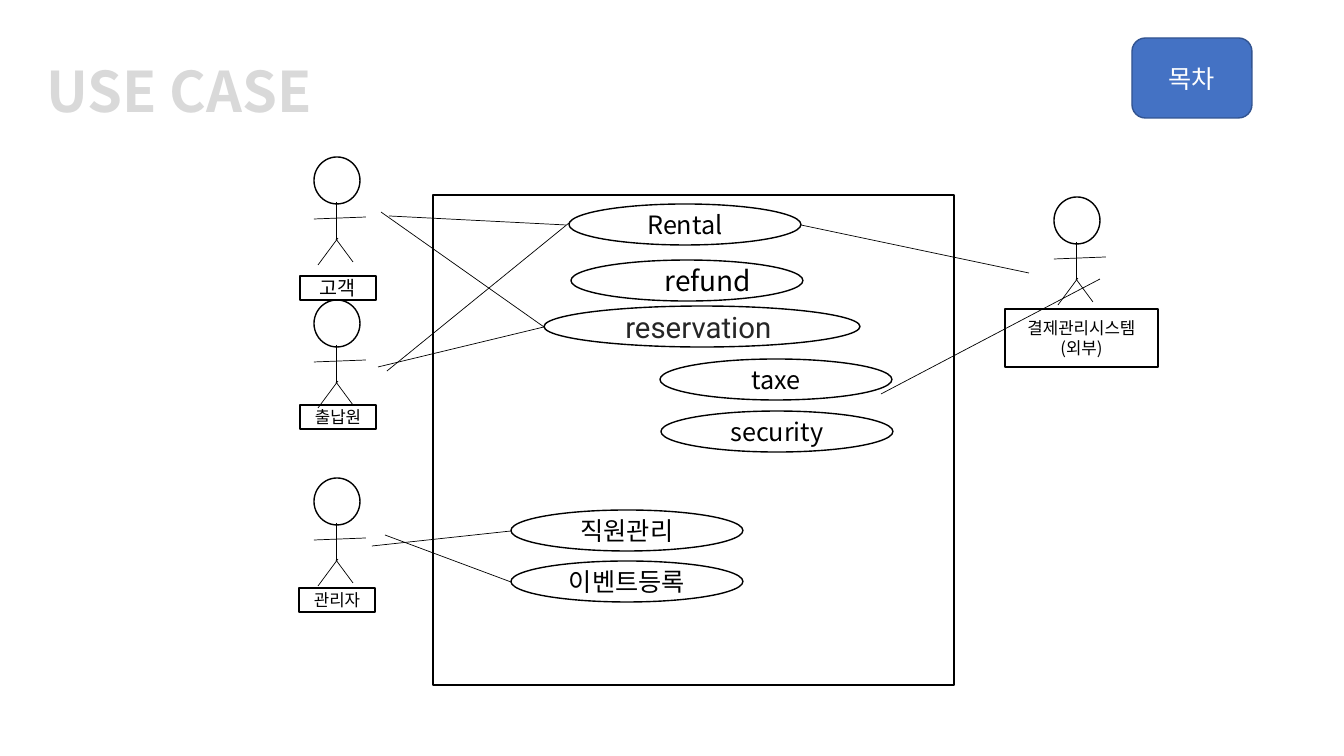
import pptx
import pptx.dml.color
import pptx.enum.shapes
import pptx.enum.text
import pptx.oxml.ns
import pptx.util
from lxml import etree

EMU_PER_PX = 914400 / 100.8
SLIDE_SIZE = (1344, 756)
FONT = "Noto Sans CJK KR"
BLACK = "000000"

TITLE = ("USE CASE", (-42, 18, 442, 111))
BUTTON = ("목차", (1132, 38, 120, 80))
SYSTEM_BOX = (433, 195, 521, 490)

ACTOR_HEADS = [(314, 157), (314, 300), (314, 478), (1054, 197)]
HEAD_SIZE = (46, 47)
# Lines of a stick figure, measured from the corner of its head
LIMBS = [
    (22, 45, 22, 82),
    (24, 81, 4, 108),
    (22, 82, 39, 105),
    (0, 62, 52, 60),
]
# text, box, size
ACTOR_LABELS = [
    ("고객", (300, 276, 76, 24), 14),
    ("출납원", (300, 405, 76, 24), 12),
    ("관리자", (299, 588, 76, 24), 12),
    ("결제관리시스템\n(외부)", (1005, 309, 153, 58), 12),
]
# text, left, top, width, size, font, colour, indent
USE_CASES = [
    ("Rental", 569, 204, 232, 18, FONT, BLACK, 0),
    ("refund", 571, 260, 232, 20, FONT, BLACK, 42),
    ("reservation ", 544, 306, 316, 21, "Roboto", "262626", 0),
    ("taxe", 660, 359, 232, 18, FONT, BLACK, 0),
    ("security", 661, 411, 232, 18, FONT, BLACK, 0),
    ("직원관리", 511, 510, 232, 18, FONT, BLACK, 0),
    ("이벤트등록", 511, 561, 232, 18, FONT, BLACK, 0),
]
USE_CASE_HEIGHT = 41
ASSOCIATIONS = [
    (381, 212, 544, 327),
    (378, 367, 544, 327),
    (387, 371, 569, 223),
    (389, 216, 566, 225),
    (372, 546, 511, 531),
    (385, 535, 511, 582),
    (801, 225, 1029, 273),
    (881, 394, 1100, 279),
]

SHAPE = pptx.enum.shapes.MSO_SHAPE
ANCHOR = pptx.enum.text.MSO_ANCHOR


def px(*lengths):
    return [pptx.util.Emu(round(n * EMU_PER_PX)) for n in lengths]


def rgb(color):
    return pptx.dml.color.RGBColor.from_string(color)


def write(sp, text, size, color=BLACK, font=FONT, bold=False, indent=0, anchor=ANCHOR.MIDDLE):
    tf = sp.text_frame
    tf.word_wrap = True
    tf.vertical_anchor = anchor
    tf.text = text
    for p in tf.paragraphs:
        p.alignment = pptx.enum.text.PP_ALIGN.CENTER
        if indent:
            pPr = p._p.get_or_add_pPr()
            pPr.set("marL", str(px(indent)[0]))
            pPr.set("indent", "0")
        p.font.size = pptx.util.Pt(size)
        p.font.bold = bold
        p.font.color.rgb = rgb(color)
        p.font.name = font
        latin = p._p.pPr.find(".//" + pptx.oxml.ns.qn("a:latin"))
        ea = etree.Element(pptx.oxml.ns.qn("a:ea"), typeface=font)
        latin.addnext(ea)


def add_box(shapes, kind, box, fill=None, line=BLACK):
    sp = shapes.add_shape(kind, *px(*box))
    sp.shadow.inherit = False
    if fill:
        sp.fill.solid()
        sp.fill.fore_color.rgb = rgb(fill)
    else:
        sp.fill.background()
    sp.line.color.rgb = rgb(line)
    sp.line.width = pptx.util.Pt(1)
    return sp


def add_line(shapes, ends):
    line = shapes.add_connector(pptx.enum.shapes.MSO_CONNECTOR.STRAIGHT, *px(*ends))
    line.line.color.rgb = rgb(BLACK)
    line.line.width = pptx.util.Pt(0.5)
    etree.SubElement(line._element.spPr, pptx.oxml.ns.qn("a:effectLst"))


def add_actor(shapes, x, y):
    for x1, y1, x2, y2 in LIMBS:
        add_line(shapes, (x + x1, y + y1, x + x2, y + y2))
    add_box(shapes, SHAPE.OVAL, (x, y, *HEAD_SIZE))


def main():
    prs = pptx.Presentation()
    prs.slide_width, prs.slide_height = px(*SLIDE_SIZE)
    shapes = prs.slides.add_slide(prs.slide_layouts[5]).shapes

    text, box = TITLE
    title = shapes.title
    title.left, title.top, title.width, title.height = px(*box)
    write(title, text, 40, "D9D9D9", bold=True, anchor=ANCHOR.BOTTOM)
    title.text_frame.paragraphs[0].line_spacing = 0.85

    text, box = BUTTON
    button = add_box(shapes, SHAPE.ROUNDED_RECTANGLE, box, "4472C4", "325491")
    write(button, text, 18, "FFFFFF")

    for x, y in ACTOR_HEADS:
        add_actor(shapes, x, y)
    add_box(shapes, SHAPE.RECTANGLE, SYSTEM_BOX)
    for text, box, size in ACTOR_LABELS:
        write(add_box(shapes, SHAPE.RECTANGLE, box), text, size)
    for text, x, y, width, size, font, color, indent in USE_CASES:
        oval = add_box(shapes, SHAPE.OVAL, (x, y, width, USE_CASE_HEIGHT))
        write(oval, text, size, color, font, indent=indent)
    for ends in ASSOCIATIONS:
        add_line(shapes, ends)

    prs.save("out.pptx")


if __name__ == "__main__":
    main()
